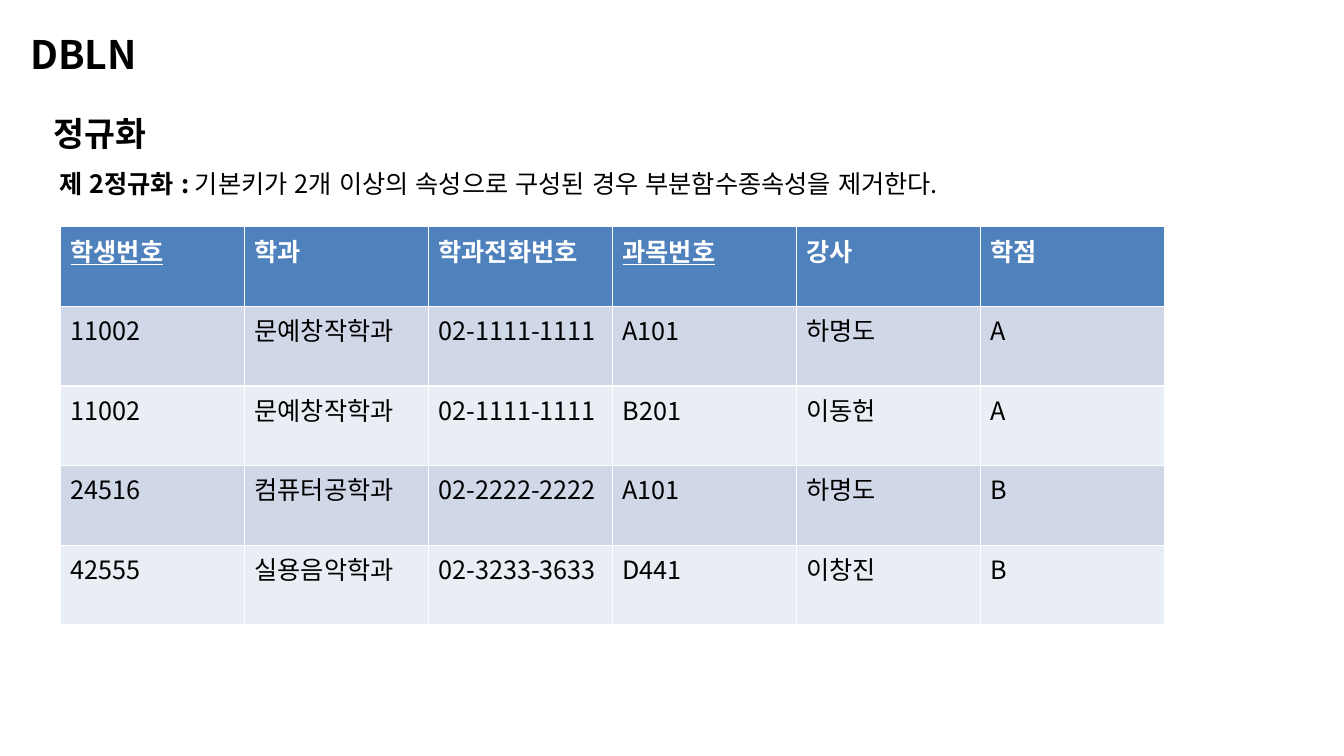
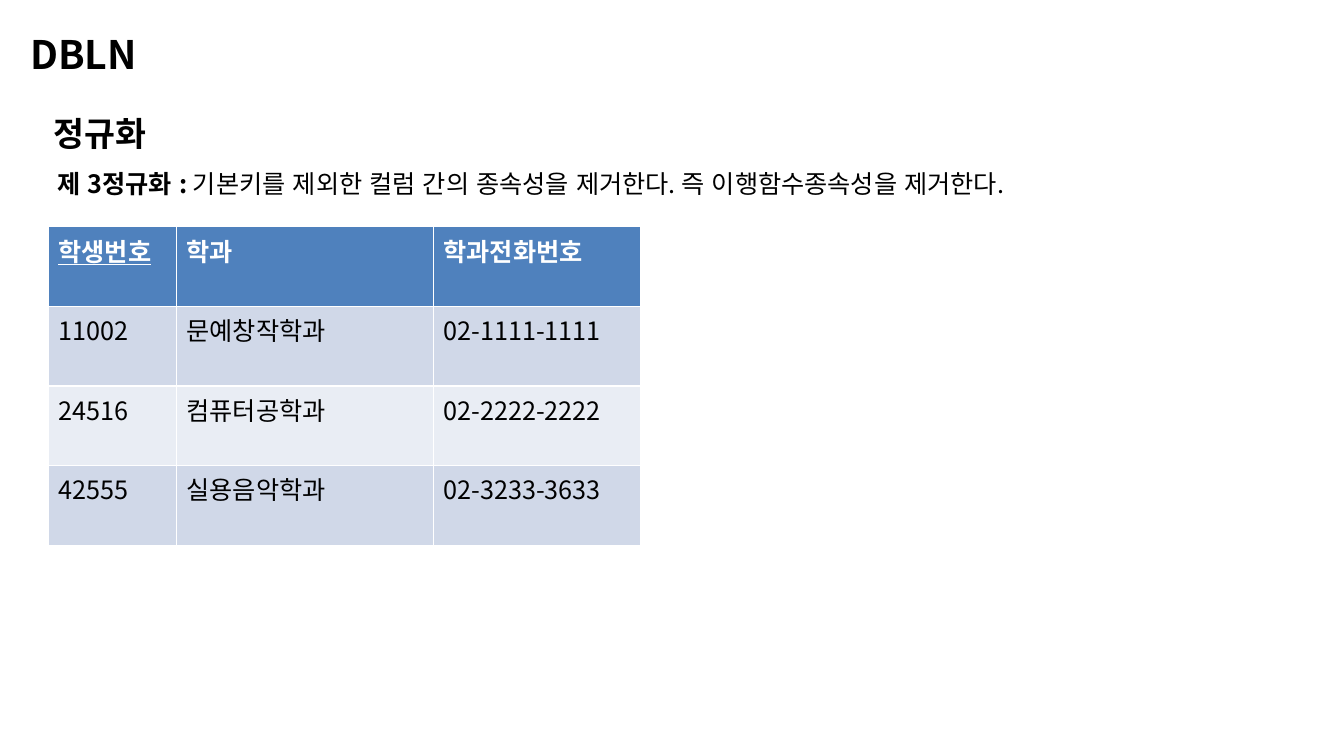
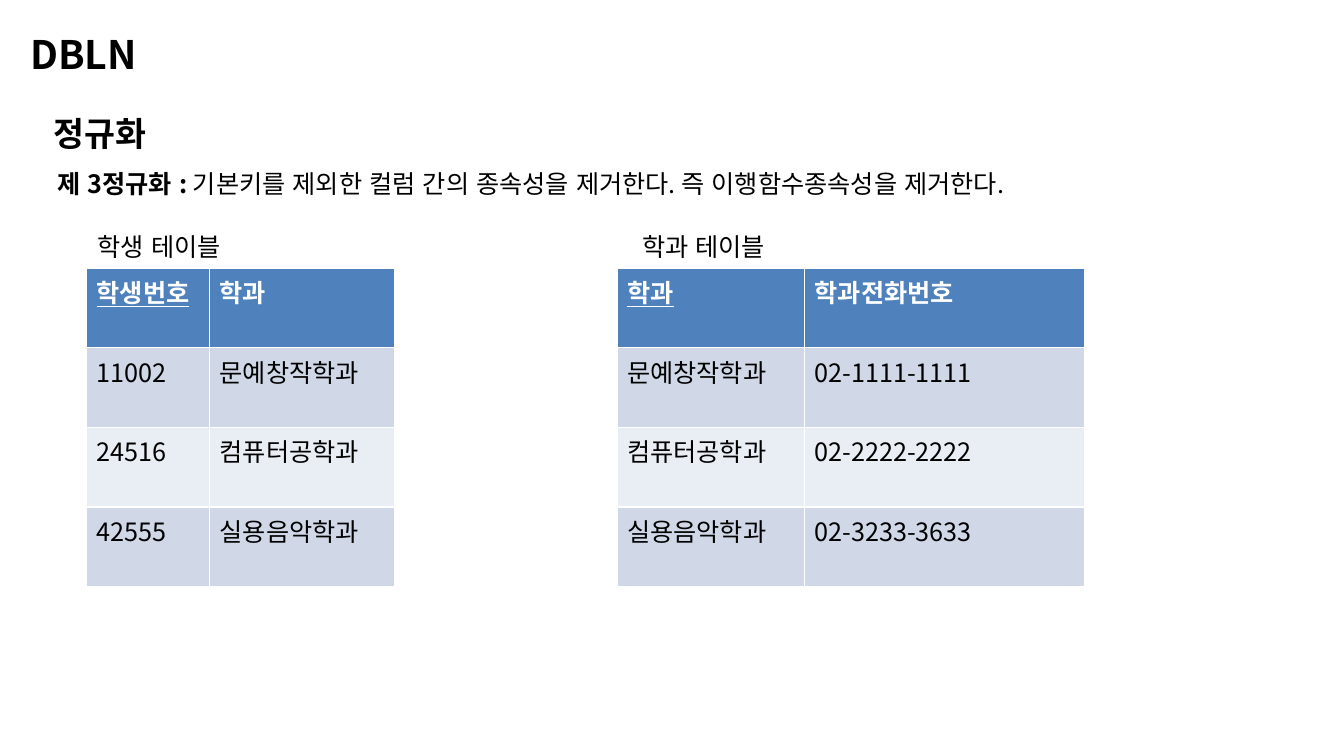
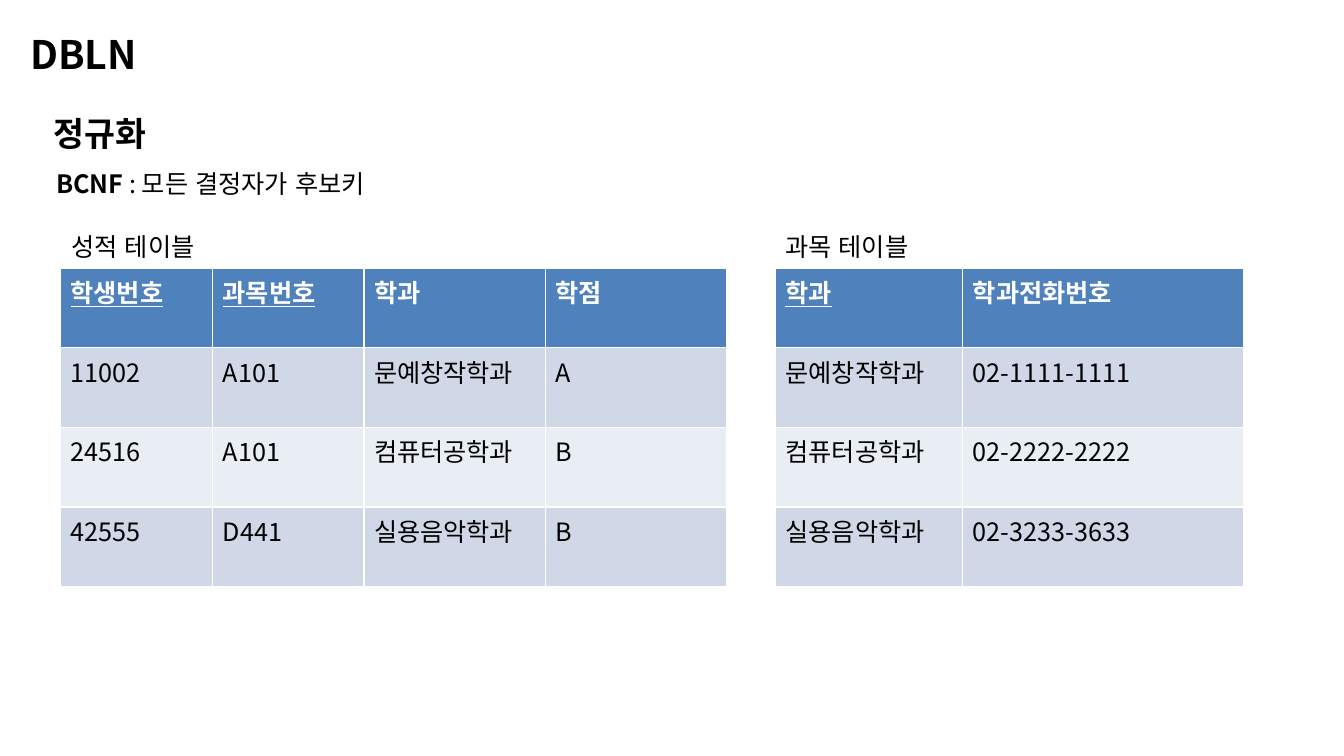
from pptx import Presentation
from pptx.dml.color import RGBColor
from pptx.enum.lang import MSO_LANGUAGE_ID
from pptx.enum.text import MSO_ANCHOR, MSO_AUTO_SIZE, PP_ALIGN
from pptx.oxml.ns import qn
from pptx.util import Inches, Pt
from lxml.etree import SubElement

# Shared style
FONT = "Noto Sans CJK KR"
BLACK = RGBColor(0x00, 0x00, 0x00)
WHITE = RGBColor(0xFF, 0xFF, 0xFF)
HEADER_BLUE = RGBColor(0x4F, 0x81, 0xBD)
BAND_COLORS = (RGBColor(0xD0, 0xD8, 0xE8), RGBColor(0xE9, 0xED, 0xF4))
ROW_HEIGHT = 0.79
CAPTION_TOP = 2.25
CAPTIONED_TABLE_TOP = 2.66
TITLE_ONLY_LAYOUT = 5

# Table contents
DEPARTMENT_HEADER = ("학과", "학과전화번호")
DEPARTMENTS = (
    ("문예창작학과", "02-1111-1111"),
    ("컴퓨터공학과", "02-2222-2222"),
    ("실용음악학과", "02-3233-3633"),
)
DEPARTMENT_WIDTHS = (1.86, 2.78)
STUDENT_NUMBERS = ("11002", "24516", "42555")
STUDENTS = [(number, *department)
            for number, department in zip(STUDENT_NUMBERS, DEPARTMENTS)]
ENROLMENTS = (
    ("11002", "문예창작학과", "02-1111-1111", "A101", "하명도", "A"),
    ("11002", "문예창작학과", "02-1111-1111", "B201", "이동헌", "A"),
    ("24516", "컴퓨터공학과", "02-2222-2222", "A101", "하명도", "B"),
    ("42555", "실용음악학과", "02-3233-3633", "D441", "이창진", "B"),
)
GRADES = (
    ("11002", "A101", "문예창작학과", "A"),
    ("24516", "A101", "컴퓨터공학과", "B"),
    ("42555", "D441", "실용음악학과", "B"),
)
THIRD_FORM = ("제 3정규화 : ",
              "기본키를 제외한 컬럼 간의 종속성을 제거한다. 즉 이행함수종속성을 제거한다.")


def add_run(paragraph, text, size=18, bold=False, color=BLACK, underline=False):
    run = paragraph.add_run()
    run.text = text
    font = run.font
    font.name = FONT
    font.size = Pt(size)
    font.bold = bold
    font.underline = underline
    font.color.rgb = color
    font.language_id = MSO_LANGUAGE_ID.KOREAN
    # Korean letters take the East Asian font
    SubElement(run.font._element, qn("a:ea"), typeface=FONT)


def format_frame(shape):
    frame = shape.text_frame
    frame.word_wrap = True
    frame.auto_size = MSO_AUTO_SIZE.SHAPE_TO_FIT_TEXT
    frame.vertical_anchor = MSO_ANCHOR.TOP
    paragraph = frame.paragraphs[0]
    paragraph.alignment = PP_ALIGN.LEFT
    return paragraph


def add_text(slide, left, top, width, height):
    box = slide.shapes.add_textbox(
        Inches(left), Inches(top), Inches(width), Inches(height))
    return format_frame(box)


def add_caption(slide, text, left):
    add_run(add_text(slide, left, CAPTION_TOP, 1.72, 0.4), text)


def add_topic_slide(presentation, term, definition, left, width):
    """Add a slide with the title, the heading and one definition line."""
    slide = presentation.slides.add_slide(
        presentation.slide_layouts[TITLE_ONLY_LAYOUT])
    title = slide.shapes.title
    title.left, title.top = Inches(0.2), Inches(0.25)
    title.width, title.height = Inches(3.94), Inches(0.57)
    add_run(format_frame(title), "DBLN", size=28, bold=True)

    heading = add_text(slide, 0.43, 1.07, 4.09, 0.5)
    add_run(heading, "정규화", size=24, bold=True)

    line = add_text(slide, left, 1.62, width, 0.4)
    add_run(line, term, bold=True)
    add_run(line, definition)
    return slide


def fill_cell(cell, text, fill, **text_style):
    cell.fill.solid()
    cell.fill.fore_color.rgb = fill
    add_run(cell.text_frame.paragraphs[0], text, **text_style)


def add_data_table(slide, left, top, widths, header, rows, keys):
    """Add a banded table whose key columns have underlined headers."""
    row_count = len(rows) + 1
    table = slide.shapes.add_table(
        row_count, len(header), Inches(left), Inches(top),
        Inches(sum(widths)), Inches(ROW_HEIGHT * row_count)).table
    for column, width in zip(table.columns, widths):
        column.width = Inches(width)
    for row in table.rows:
        row.height = Inches(ROW_HEIGHT)

    for column_index, name in enumerate(header):
        fill_cell(table.cell(0, column_index), name, HEADER_BLUE,
                  bold=True, color=WHITE, underline=name in keys)
    for row_index, values in enumerate(rows):
        for column_index, value in enumerate(values):
            fill_cell(table.cell(row_index + 1, column_index), value,
                      BAND_COLORS[row_index % 2])


def add_department_table(slide, left):
    add_data_table(slide, left, CAPTIONED_TABLE_TOP, DEPARTMENT_WIDTHS,
                   DEPARTMENT_HEADER, DEPARTMENTS, {"학과"})


def main():
    presentation = Presentation()
    presentation.slide_width = Inches(13.33)
    presentation.slide_height = Inches(7.5)

    # Second normal form
    slide = add_topic_slide(
        presentation, "제 2정규화 : ",
        "기본키가 2개 이상의 속성으로 구성된 경우 부분함수종속성을 제거한다.",
        0.49, 12.4)
    add_data_table(
        slide, 0.6, 2.25, [1.825] * 6,
        ("학생번호", "학과", "학과전화번호", "과목번호", "강사", "학점"),
        ENROLMENTS, {"학생번호", "과목번호"})

    # Third normal form: table before the split
    slide = add_topic_slide(presentation, *THIRD_FORM, 0.47, 11.95)
    add_data_table(slide, 0.48, 2.25, (1.27, 2.55, 2.05),
                   ("학생번호", *DEPARTMENT_HEADER), STUDENTS, {"학생번호"})

    # Third normal form: student and department tables
    slide = add_topic_slide(presentation, *THIRD_FORM, 0.47, 12.26)
    add_data_table(slide, 0.86, CAPTIONED_TABLE_TOP, (1.22, 1.83),
                   ("학생번호", "학과"),
                   [student[:2] for student in STUDENTS], {"학생번호"})
    add_department_table(slide, 6.12)
    add_caption(slide, "학생 테이블", 0.87)
    add_caption(slide, "학과 테이블", 6.27)

    # Boyce-Codd normal form
    slide = add_topic_slide(
        presentation, "BCNF ", ": 모든 결정자가 후보키", 0.46, 9.33)
    add_caption(slide, "성적 테이블", 0.61)
    add_caption(slide, "과목 테이블", 7.69)
    add_data_table(slide, 0.6, CAPTIONED_TABLE_TOP, (1.51, 1.5, 1.8, 1.8),
                   ("학생번호", "과목번호", "학과", "학점"),
                   GRADES, {"학생번호", "과목번호"})
    add_department_table(slide, 7.69)

    presentation.save("out.pptx")


if __name__ == "__main__":
    main()
